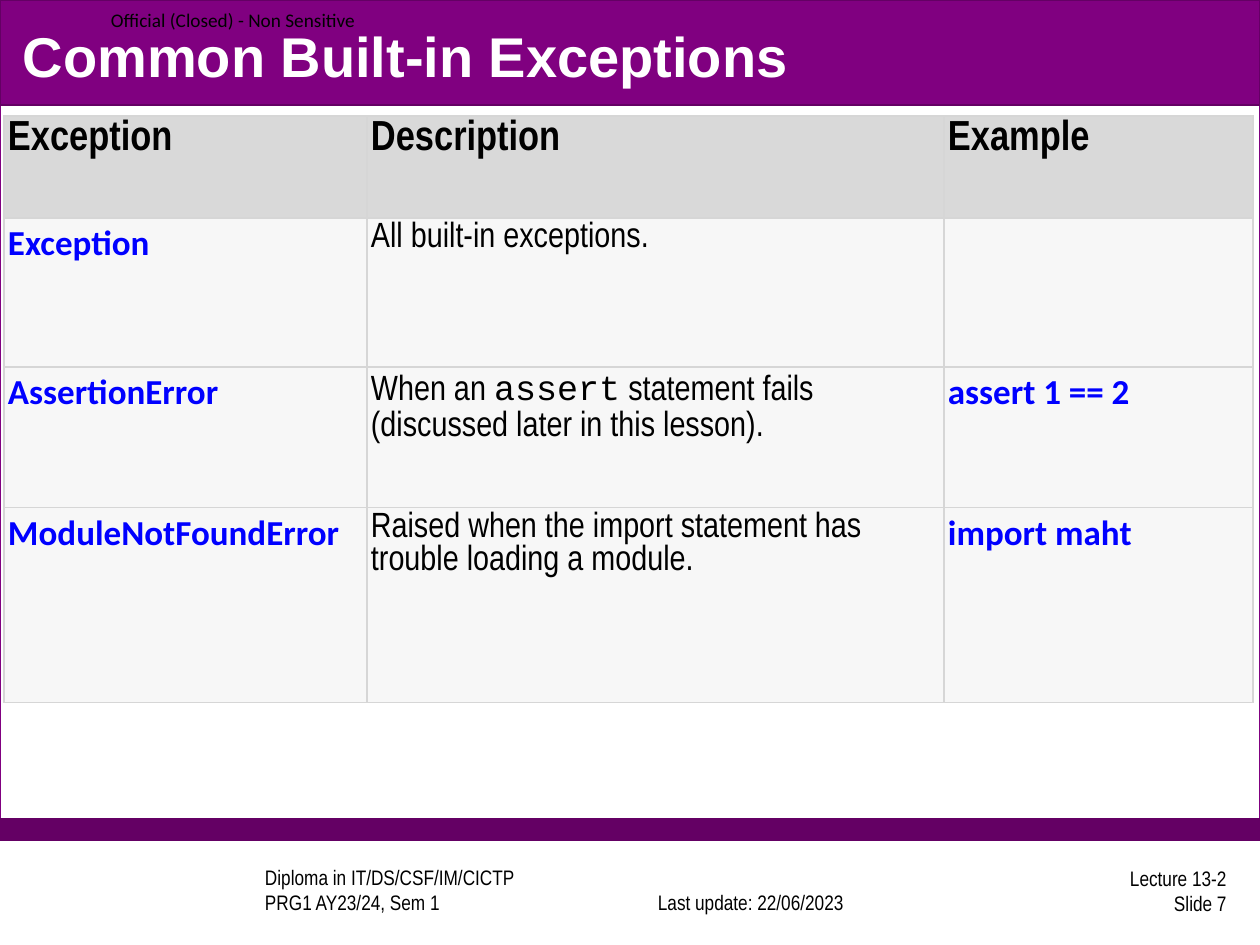
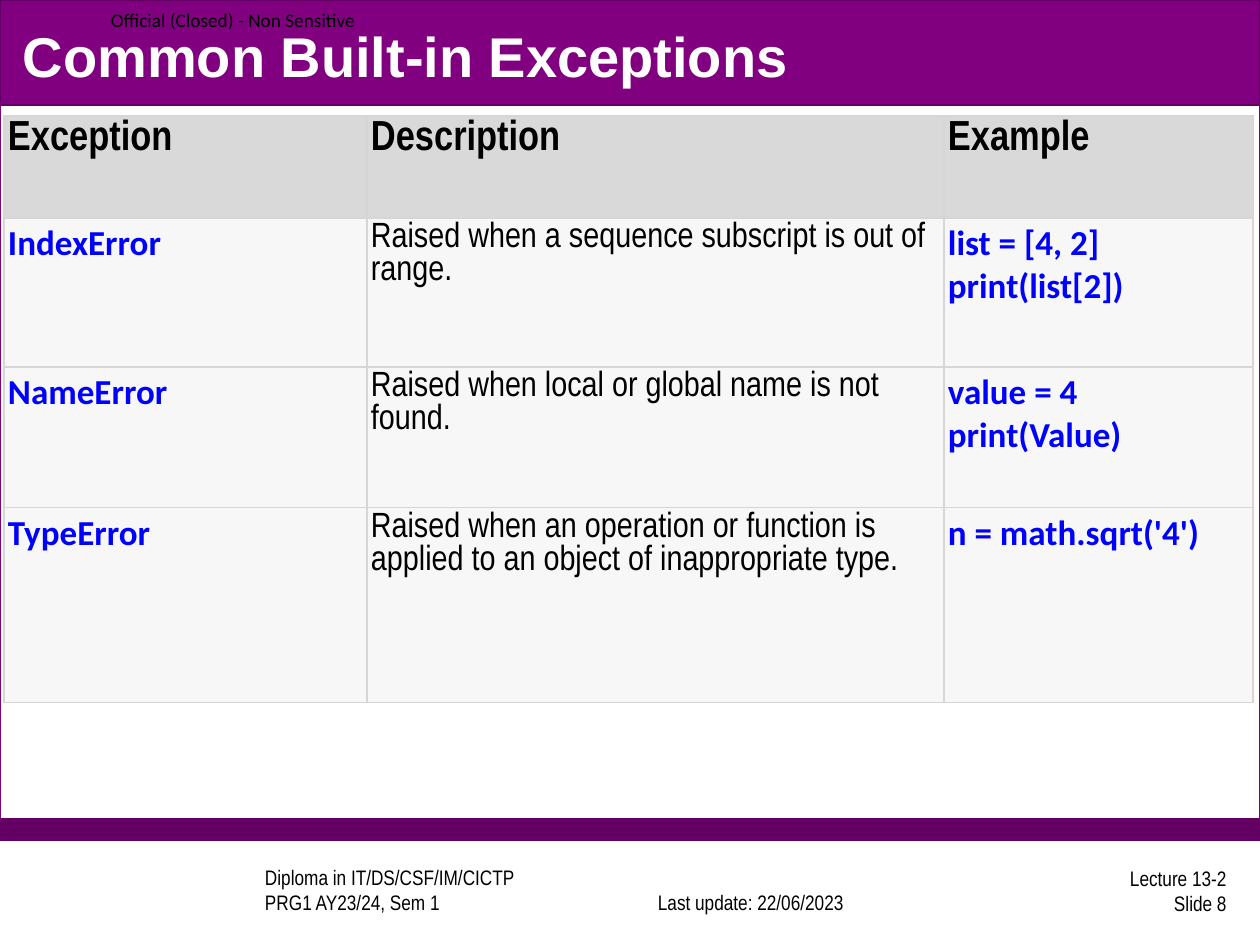
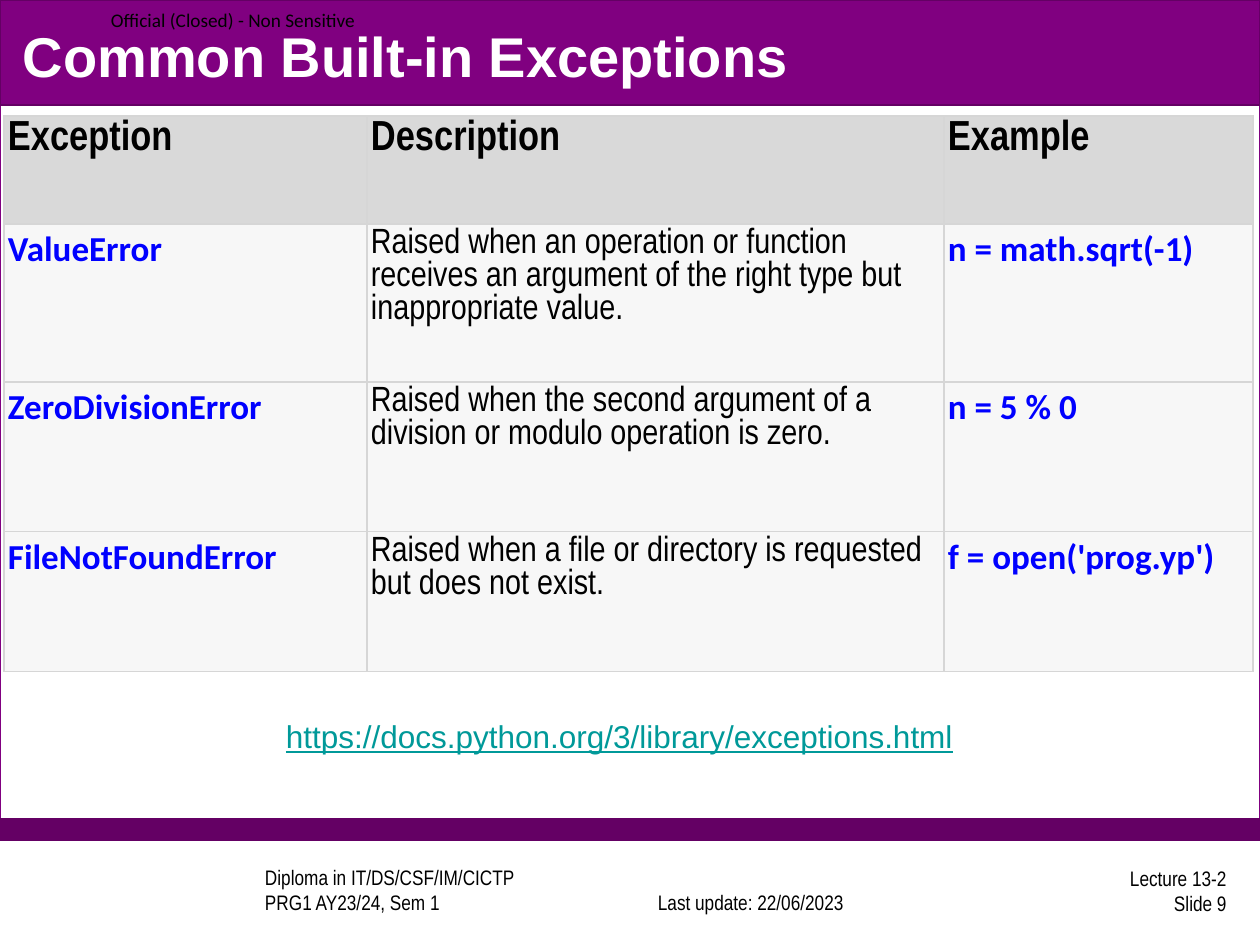
from lxml.etree import SubElement
from pptx import Presentation
from pptx.dml.color import RGBColor
from pptx.enum.shapes import MSO_SHAPE as Shape
from pptx.enum.text import MSO_ANCHOR as Anchor, MSO_AUTO_SIZE as AutoSize, PP_ALIGN as Align
from pptx.oxml.ns import qn
from pptx.util import Emu, Pt

COLORS = {
    "white": "FFFFFF", "black": "000000", "purple": "800080", "dark_purple": "640064",
    "header": "D9D9D9", "body": "F7F7F7", "border": "D6D6D6", "code": "0000FF", "link": "009999",
}
TITLE = "Common Built-in Exceptions"
HEADINGS = ("Exception", "Description", "Example")
FIRST_SLIDE_NUMBER = 7
LINK = "https://docs.python.org/3/library/exceptions.html"

USUAL_HEIGHTS = (102, 149, 141, 195)
PAGES = [
    {"heights": USUAL_HEIGHTS, "rows": [
        ("Exception", "All built-in exceptions.", ""),
        ("AssertionError",
         ("When an ", "assert", " statement fails (discussed later in this lesson)."),
         "assert 1 == 2"),
        ("ModuleNotFoundError",
         "Raised when the import statement has trouble loading a module.",
         "import maht"),
    ]},
    {"heights": USUAL_HEIGHTS, "rows": [
        ("IndexError", "Raised when a sequence subscript is out of range.",
         "list = [4, 2]\nprint(list[2])"),
        ("NameError", "Raised when local or global name is not found.",
         "value = 4\nprint(Value)"),
        ("TypeError",
         "Raised when an operation or function is applied to an object of inappropriate type.",
         "n = math.sqrt('4')"),
    ]},
    {"heights": (108, 158, 150, 140), "link": LINK, "rows": [
        ("ValueError",
         "Raised when an operation or function receives an argument of the right type "
         "but inappropriate value.",
         "n = math.sqrt(-1)"),
        ("ZeroDivisionError",
         "Raised when the second argument of a division or modulo operation is zero.",
         "n = 5 % 0"),
        ("FileNotFoundError",
         "Raised when a file or directory is requested but does not exist.",
         "f = open('prog.yp')"),
    ]},
]

BANDS = [
    ((0, 0, 1260, 840), "white", "purple"),
    ((0, 819, 1260, 21), "dark_purple", "dark_purple"),
    ((0, 0, 1260, 105), "purple", "dark_purple"),
]
LABELS = [
    {"text": "Diploma in IT/DS/CSF/IM/CICTP\vPRG1 AY23/24, Sem 1",
     "at": (189, 868, 399, 53), "anchor": Anchor.BOTTOM, "inset": 76},
    {"text": "Last update: 22/06/2023",
     "at": (615, 868, 262, 53), "anchor": Anchor.BOTTOM, "inset": 22, "align": Align.CENTER},
    {"text": "Lecture 13-2\vSlide {number}",
     "at": (977, 864, 262, 53), "align": Align.RIGHT},
    {"text": "Official (Closed) - Non Sensitive",
     "at": (0, 0, 379, 39), "inset": 111, "size": 11, "font": "Calibri"},
]
TITLE_AT = (10, 16, 1239, 78)
LINK_AT = (273, 711, 693, 50)
TABLE_ORIGIN = (4, 116)
COLUMN_WIDTHS = (363, 577, 309)
CELL_INSET = 4


def px(length):
    return Emu(round(length * 914400 / 126))


def place(at):
    return [px(length) for length in at]


def color(name):
    return RGBColor.from_string(COLORS[name])


def style(font, name, size, ink="black", bold=False):
    font.name, font.size, font.bold = name, Pt(size), bold
    font.color.rgb = color(ink)


def add_bands(page):
    for at, fill, line in BANDS:
        band = page.shapes.add_shape(Shape.RECTANGLE, *place(at))
        band.shadow.inherit = False
        band.fill.solid()
        band.fill.fore_color.rgb = color(fill)
        band.line.color.rgb = color(line)
        band.line.width = Pt(0.75)


def add_label(page, text, at, anchor=Anchor.MIDDLE, inset=13, align=Align.LEFT,
              size=12, font="Arial Narrow", ink="black", wrap=True):
    frame = page.shapes.add_textbox(*place(at)).text_frame
    frame.word_wrap = wrap
    frame.vertical_anchor = anchor
    frame.margin_left = px(inset)
    frame.text = text
    para = frame.paragraphs[0]
    para.alignment = align
    for span in para.runs:
        style(span.font, font, size, ink)
    return para


def format_title(page):
    title = page.shapes.title
    title.left, title.top, title.width, title.height = place(TITLE_AT)
    frame = title.text_frame
    frame.text = TITLE
    frame.auto_size = AutoSize.NONE
    frame.vertical_anchor = Anchor.MIDDLE
    para = frame.paragraphs[0]
    para.alignment = Align.LEFT
    style(para.runs[0].font, "Arial", 32, "white", True)
    title.element.getparent().append(title.element)


def add_borders(cell):
    properties = cell._tc.get_or_add_tcPr()
    for side in ("a:lnL", "a:lnR", "a:lnT", "a:lnB"):
        line = SubElement(properties, qn(side), w=str(Pt(0.75)))
        fill = SubElement(line, qn("a:solidFill"))
        SubElement(fill, qn("a:srgbClr"), val=COLORS["border"])


def fill_cell(cell, content, is_header, is_description):
    add_borders(cell)
    cell.fill.solid()
    cell.fill.fore_color.rgb = color("header" if is_header else "body")
    cell.margin_left = cell.margin_right = px(CELL_INSET)
    cell.margin_top = cell.margin_bottom = px(CELL_INSET)
    if isinstance(content, tuple):
        para = cell.text_frame.paragraphs[0]
        for part in content:
            para.add_run().text = part
    else:
        cell.text_frame.text = content
    for para in cell.text_frame.paragraphs:
        for index, span in enumerate(para.runs):
            if is_header:
                style(span.font, "Arial Narrow", 24, bold=True)
            elif is_description:
                style(span.font, "Courier New" if index == 1 else "Arial Narrow", 20)
            else:
                style(span.font, "Calibri", 20, "code", True)


def add_exception_table(page, rows, heights):
    at = (*TABLE_ORIGIN, sum(COLUMN_WIDTHS), sum(heights))
    table = page.shapes.add_table(len(heights), len(COLUMN_WIDTHS), *place(at)).table
    for column, width in zip(table.columns, COLUMN_WIDTHS):
        column.width = px(width)
    for row, height in zip(table.rows, heights):
        row.height = px(height)
    for row_index, contents in enumerate([HEADINGS, *rows]):
        for column_index, content in enumerate(contents):
            fill_cell(table.cell(row_index, column_index), content,
                      row_index == 0, column_index == 1)


def main():
    deck = Presentation()
    deck.slide_width, deck.slide_height = px(1260), px(945)
    for number, content in enumerate(PAGES, FIRST_SLIDE_NUMBER):
        page = deck.slides.add_slide(deck.slide_layouts[5])
        add_bands(page)
        for label in LABELS:
            add_label(page, **{**label, "text": label["text"].format(number=number)})
        format_title(page)
        add_exception_table(page, content["rows"], content["heights"])
        if "link" in content:
            para = add_label(page, content["link"], LINK_AT, Anchor.TOP,
                             size=18, font="Arial", ink="link", wrap=False)
            para.runs[0].font.underline = True
    deck.save("out.pptx")


if __name__ == "__main__":
    main()
